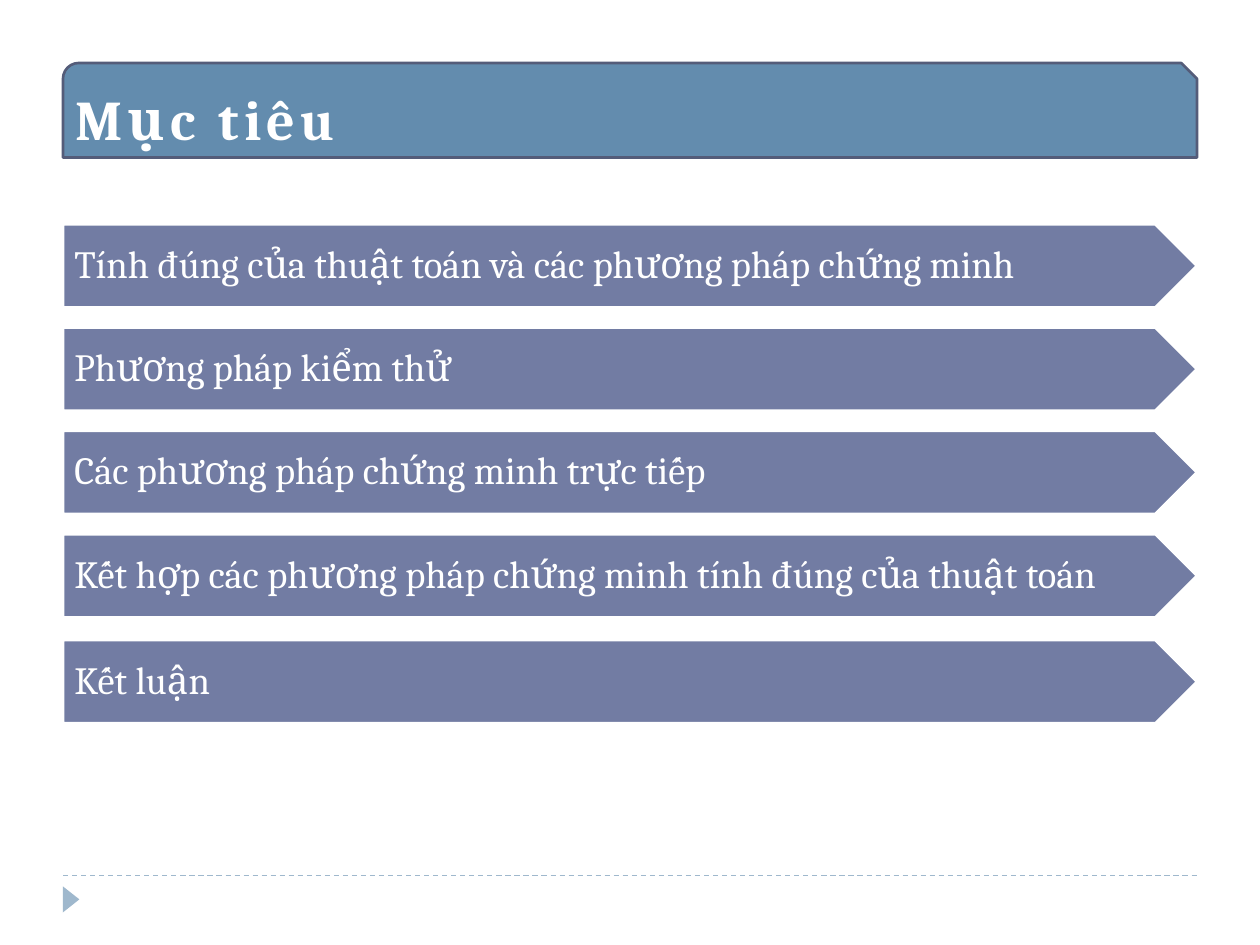
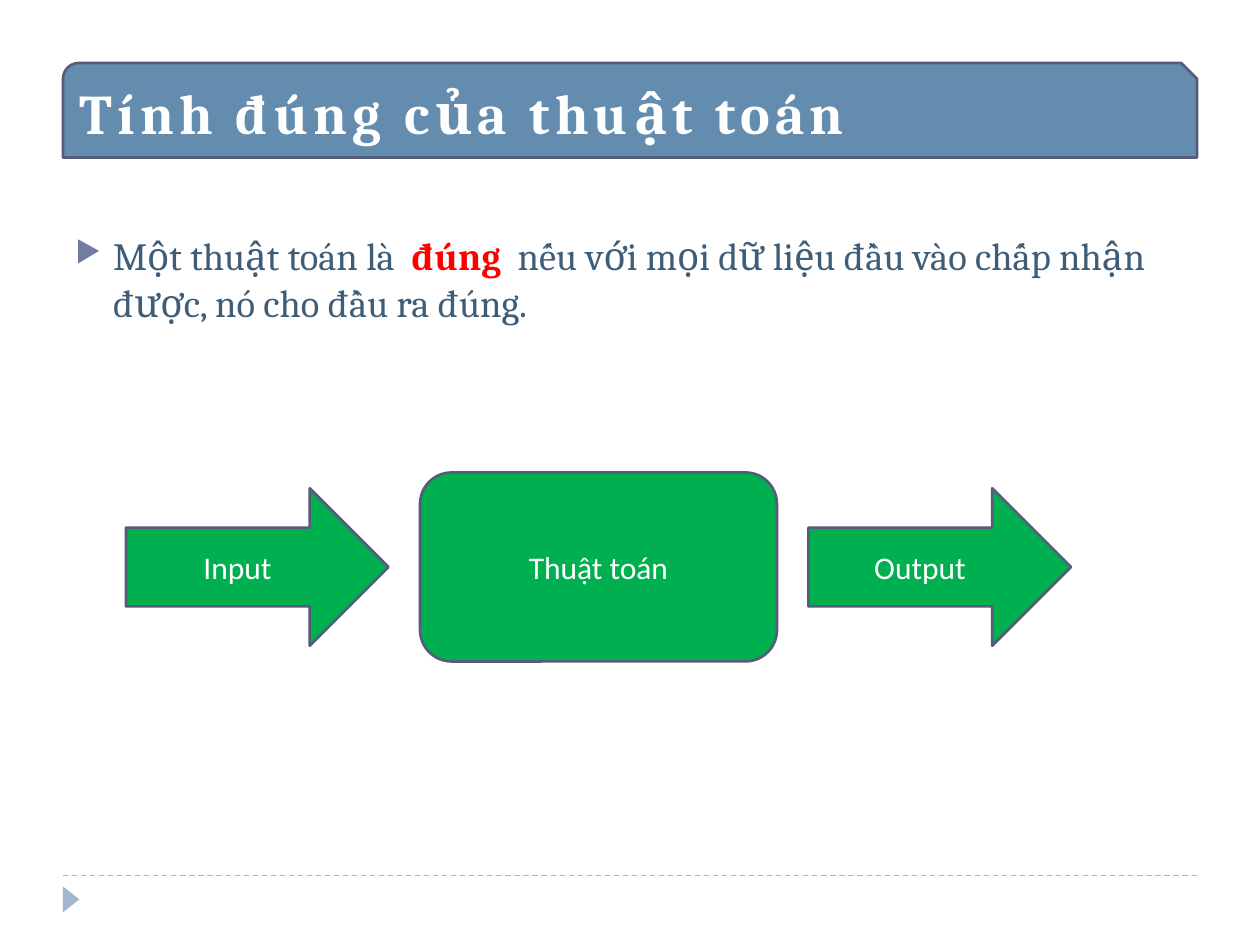
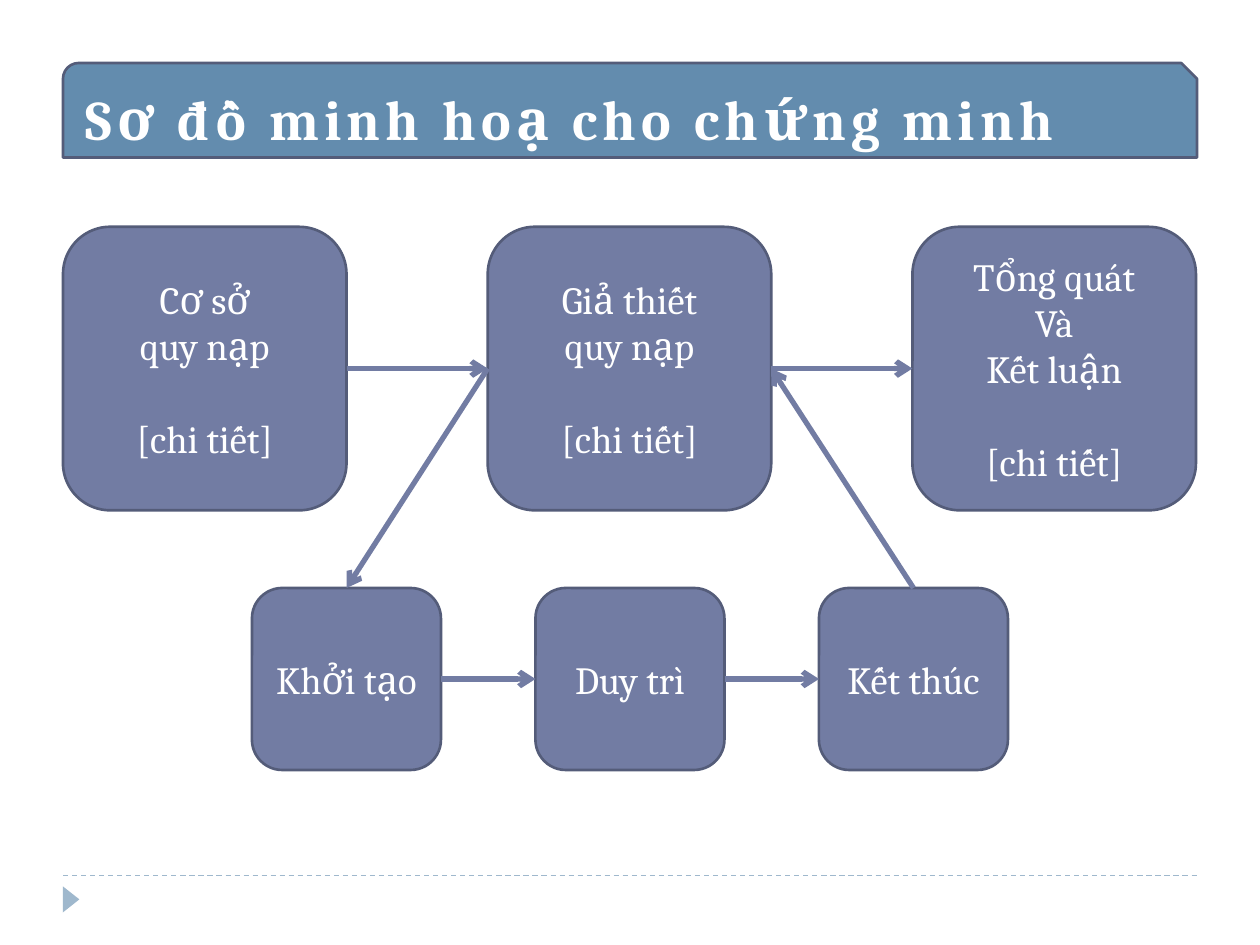
from lxml.etree import SubElement
from pptx import Presentation
from pptx.dml.color import RGBColor
from pptx.enum.dml import MSO_LINE
from pptx.enum.shapes import MSO_CONNECTOR, MSO_SHAPE
from pptx.enum.text import MSO_ANCHOR as Anchor, PP_ALIGN as Align
from pptx.oxml.ns import qn
from pptx.util import Pt

COLORS = {
    "band": "638CAE",
    "outline": "545C79",
    "accent": "727CA3",
    "footer": "9FB8CD",
    "body": "3E5D78",
    "green": "00B050",
    "red": "FF0000",
    "white": "FFFFFF",
}
SERIF, SANS = "Cambria", "Calibri"
MARGIN, WIDTH = 36, 648
BAND_TOP, BAND_HEIGHT = 36, 54
LEFT, RIGHT, TOP = 1, 3, 0


def color(name):
    return RGBColor.from_string(COLORS[name])


def add_span(para, text, size=22, font=SERIF, ink="white", bold=False, spacing=0):
    span = para.add_run()
    span.text = text
    span.font.size = Pt(size)
    span.font.name = font
    span.font.bold = bold
    span.font.color.rgb = color(ink)
    if spacing:
        span.font._element.set("spc", str(spacing * 100))


def paint(shape, fill, line=None, weight=1.5):
    shape.shadow.inherit = False
    shape.fill.solid()
    shape.fill.fore_color.rgb = color(fill)
    if line:
        shape.line.color.rgb = color(line)
        shape.line.width = Pt(weight)
    else:
        shape.line.fill.background()


def add_block(page, kind, left, top, width, height, fill, line="outline"):
    shape = page.shapes.add_shape(kind, Pt(left), Pt(top), Pt(width), Pt(height))
    paint(shape, fill, line)
    return shape


def add_text_box(page, left, top, width, height, anchor):
    box = page.shapes.add_textbox(Pt(left), Pt(top), Pt(width), Pt(height))
    box.text_frame.word_wrap = True
    box.text_frame.vertical_anchor = anchor
    return box


def add_line(page, ink, weight, ends=(0, 0, 0, 0)):
    line = page.shapes.add_connector(MSO_CONNECTOR.STRAIGHT, *(Pt(end) for end in ends))
    line.line.color.rgb = color(ink)
    line.line.width = Pt(weight)
    SubElement(line._element.spPr, qn("a:effectLst"))
    return line


def add_arrow(page, source, source_side, target, target_side):
    arrow = add_line(page, "accent", 3)
    arrow.begin_connect(source, source_side)
    arrow.end_connect(target, target_side)
    SubElement(arrow.line._get_or_add_ln(), qn("a:tailEnd"), type="arrow")


def add_bullet(para):
    props = para._p.get_or_add_pPr()
    props.set("marL", str(Pt(21.6)))
    props.set("indent", str(-Pt(21.6)))
    tint = SubElement(props, qn("a:buClr"))
    SubElement(tint, qn("a:srgbClr"), val=COLORS["accent"])
    SubElement(props, qn("a:buSzPct"), val="76000")
    SubElement(props, qn("a:buChar"), char="▶")


def add_page(deck):
    page = deck.slides.add_slide(deck.slide_layouts[6])
    rule = add_line(page, "footer", 0.75, (MARGIN, 500.4, MARGIN + WIDTH, 500.4))
    rule.line.dash_style = MSO_LINE.DASH
    marker = add_block(page, MSO_SHAPE.ISOSCELES_TRIANGLE, 33.1, 509.2, 15, 9.5, "footer", None)
    marker.rotation = 90
    return page


def add_band(page):
    return add_block(page, MSO_SHAPE.SNIP_ROUND_RECTANGLE,
                     MARGIN, BAND_TOP, WIDTH, BAND_HEIGHT, "band")


def add_title(holder, text):
    para = holder.text_frame.paragraphs[0]
    para.alignment = Align.LEFT
    add_span(para, text, size=32, bold=True, spacing=3)


def add_title_over_band(page, text, left=MARGIN):
    add_band(page)
    width = MARGIN + WIDTH - left
    add_title(add_text_box(page, left, BAND_TOP, width, BAND_HEIGHT, Anchor.BOTTOM), text)


def add_goal(page, top, text):
    height, right = 47.5, MARGIN + WIDTH
    shoulder = right - height / 2
    points = [(shoulder, top), (right, top + height / 2),
              (shoulder, top + height), (MARGIN, top + height)]
    outline = page.shapes.build_freeform(Pt(MARGIN), Pt(top))
    outline.add_line_segments([(Pt(x), Pt(y)) for x, y in points], close=True)
    goal = outline.convert_to_shape()
    paint(goal, "accent", "white")
    frame = goal.text_frame
    frame.word_wrap = True
    frame.vertical_anchor = Anchor.MIDDLE
    frame.margin_left = frame.margin_top = frame.margin_bottom = Pt(6.5)
    frame.margin_right = Pt(18.7)
    para = frame.paragraphs[0]
    para.alignment = Align.LEFT
    para.line_spacing = 0.9
    add_span(para, text)


def add_label(shape, lines, size=22, font=SERIF, detail=None):
    frame = shape.text_frame
    frame.word_wrap = True
    frame.vertical_anchor = Anchor.MIDDLE
    texts = lines + [detail] if detail else lines
    for number, text in enumerate(texts):
        para = frame.add_paragraph() if number else frame.paragraphs[0]
        para.alignment = Align.CENTER
        if text == detail:
            para.space_before = Pt(26.4)
        add_span(para, text, size, font)


def build_goals(deck):
    page = add_page(deck)
    add_title_over_band(page, "Mục tiêu")
    goals = [
        (128.2, "Tính đúng của thuật toán và các phương pháp chứng minh"),
        (187.2, "Phương pháp kiểm thử"),
        (246.2, "Các phương pháp chứng minh trực tiếp"),
        (305.3, "Kết hợp các phương pháp chứng minh tính đúng của thuật toán"),
        (365.8, "Kết luận"),
    ]
    for top, text in goals:
        add_goal(page, top, text)


def build_correctness(deck):
    page = add_page(deck)
    add_title(add_band(page), "Tính đúng của thuật toán")

    body = add_text_box(page, MARGIN, 95.8, WIDTH, 126, Anchor.TOP)
    body.text_frame.margin_top = Pt(37)
    para = body.text_frame.paragraphs[0]
    add_bullet(para)
    add_span(para, "Một thuật toán là  ", ink="body")
    add_span(para, "đúng  ", ink="red", bold=True)
    add_span(para, "nếu với mọi dữ liệu đầu vào chấp nhận được, nó cho đầu ra đúng.", ink="body")

    for left, text in ((72, "Input"), (462, "Output")):
        arrow = add_block(page, MSO_SHAPE.RIGHT_ARROW, left, 279, 150, 90, "green")
        add_label(arrow, [text], 18, SANS)
    process = add_block(page, MSO_SHAPE.ROUNDED_RECTANGLE, 240, 270, 204, 108, "green")
    add_label(process, ["Thuật toán"], 18, SANS)


def build_proof_diagram(deck):
    page = add_page(deck)
    add_title_over_band(page, "Sơ đồ minh hoạ cho chứng minh", 42)

    stages = []
    for column, lines in enumerate((["Cơ sở", "quy nạp"], ["Giả thiết", "quy nạp"],
                                    ["Tổng quát", "Và", "Kết luận"])):
        stage = add_block(page, MSO_SHAPE.ROUNDED_RECTANGLE,
                          MARGIN + column * 242.7, 129.6, 162, 162, "accent")
        add_label(stage, lines, detail="[chi tiết]")
        stages.append(stage)

    steps = []
    for column, text in enumerate(("Khởi tạo", "Duy trì", "Kết thúc")):
        step = add_block(page, MSO_SHAPE.ROUNDED_RECTANGLE,
                         144 + column * 162, 336, 108, 104, "accent")
        add_label(step, [text])
        steps.append(step)

    basis, hypothesis, conclusion = stages
    start, keep, finish = steps
    add_arrow(page, basis, RIGHT, hypothesis, LEFT)
    add_arrow(page, hypothesis, LEFT, start, TOP)
    add_arrow(page, start, RIGHT, keep, LEFT)
    add_arrow(page, keep, RIGHT, finish, LEFT)
    add_arrow(page, finish, TOP, hypothesis, RIGHT)
    add_arrow(page, hypothesis, RIGHT, conclusion, LEFT)


def main():
    deck = Presentation()
    deck.slide_width, deck.slide_height = Pt(720), Pt(540)
    build_goals(deck)
    build_correctness(deck)
    build_proof_diagram(deck)
    deck.save("out.pptx")


main()
